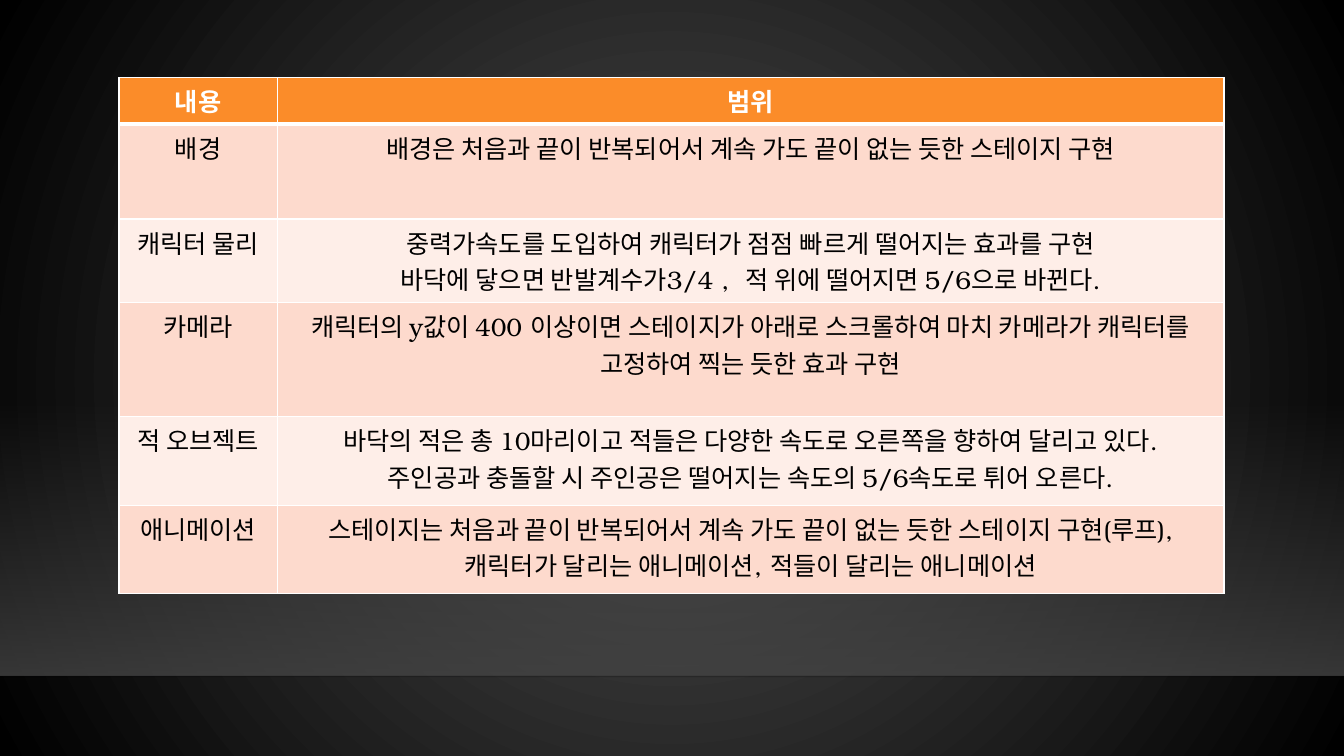
from lxml import etree
from pptx import Presentation
from pptx.dml.color import RGBColor
from pptx.enum.shapes import MSO_CONNECTOR, MSO_SHAPE
from pptx.enum.text import PP_ALIGN
from pptx.oxml import parse_xml
from pptx.oxml.ns import qn
from pptx.util import Inches, Pt

RECTANGLE = MSO_SHAPE.RECTANGLE
STRAIGHT = MSO_CONNECTOR.STRAIGHT
CENTER = PP_ALIGN.CENTER
DRAWING_NS = "http://schemas.openxmlformats.org/drawingml/2006/main"

COLORS = {
    "glow": "505050", "edge": "000000", "floor": "454545", "horizon": "000001",
    "header": "FB8C29", "band_dark": "FDDACD", "band_light": "FEEEE8",
    "border": "FFFFFF", "header_text": "FFFFFF", "body_text": "000000",
}
SLIDE_WIDTH, SLIDE_HEIGHT = 13.33, 7.5
FLOOR_TOP, FLOOR_HEIGHT, HORIZON = 3.96, 2.74, 6.71
COLUMN_WIDTHS = [1.57, 9.39]
ROW_HEIGHTS = [0.45, 0.94, 0.83, 1.13, 0.88, 0.88]
TEXT_FORMAT = {"name": "TeX Gyre Bonum", "size": Pt(18)}

# Each row: topic, then the paragraphs of its scope
ROWS = [
    ("내용", ["범위"]),
    ("배경", ["배경은 처음과 끝이 반복되어서 계속 가도 끝이 없는 듯한 스테이지 구현"]),
    ("캐릭터 물리", ["중력가속도를 도입하여 캐릭터가 점점 빠르게 떨어지는 효과를 구현",
                "바닥에 닿으면 반발계수가3/4 ,  적 위에 떨어지면 5/6으로 바뀐다."]),
    ("카메라", ["캐릭터의 y값이 400 이상이면 스테이지가 아래로 스크롤하여 "
             "마치 카메라가 캐릭터를 고정하여 찍는 듯한 효과 구현"]),
    ("적 오브젝트", ["바닥의 적은 총 10마리이고 적들은 다양한 속도로 오른쪽을 향하여 달리고 있다.",
                "주인공과 충돌할 시 주인공은 떨어지는 속도의 5/6속도로 튀어 오른다."]),
    ("애니메이션", ["스테이지는 처음과 끝이 반복되어서 계속 가도 끝이 없는 듯한 스테이지 구현(루프), "
               "캐릭터가 달리는 애니메이션, 적들이 달리는 애니메이션"]),
]


def color(name):
    return RGBColor.from_string(COLORS[name])


def set_alpha(color_element, percent):
    etree.SubElement(color_element, qn("a:alpha"), val=str(percent * 1000))


def set_gradient(fill, names):
    fill.gradient()
    for stop, name, position in zip(fill.gradient_stops, names, (0, 1)):
        stop.color.rgb = color(name)
        stop.position = position


def add_background(page):
    set_gradient(page.background.fill, ("glow", "edge"))
    gradient = page.element.find(".//" + qn("a:gradFill"))
    circle = parse_xml(
        f'<a:path xmlns:a="{DRAWING_NS}" path="circle">'
        '<a:fillToRect l="50000" t="50000" r="50000" b="50000"/></a:path>')
    gradient.replace(gradient.find(qn("a:lin")), circle)


def add_floor(page):
    floor = page.shapes.add_shape(RECTANGLE, 0, Inches(FLOOR_TOP),
                                  Inches(SLIDE_WIDTH), Inches(FLOOR_HEIGHT))
    floor.shadow.inherit = False
    floor.line.fill.background()
    set_gradient(floor.fill, ("floor", "floor"))
    floor.fill.gradient_angle = 270
    stops = floor.element.spPr.iter(qn("a:srgbClr"))
    for stop_color, percent in zip(stops, (0, 80)):
        set_alpha(stop_color, percent)


def add_horizon(page):
    line = page.shapes.add_connector(STRAIGHT, 0, Inches(HORIZON),
                                     Inches(SLIDE_WIDTH), Inches(HORIZON))
    line.line.color.rgb = color("horizon")
    line.line.width = Pt(1)
    properties = line.element.spPr
    set_alpha(properties.find(".//" + qn("a:srgbClr")), 20)
    etree.SubElement(properties, qn("a:effectLst"))


def set_borders(cell, widths):
    properties = cell._tc.get_or_add_tcPr()
    for index, (side, width) in enumerate(widths.items()):
        properties.insert(index, parse_xml(
            f'<a:ln{side} xmlns:a="{DRAWING_NS}" w="{Pt(width)}"><a:solidFill>'
            f'<a:srgbClr val="{COLORS["border"]}"/></a:solidFill></a:ln{side}>'))


def fill_cell(cell, paragraphs, row):
    is_header = row == 0
    band = "header" if is_header else ("band_light", "band_dark")[row % 2]
    cell.fill.solid()
    cell.fill.fore_color.rgb = color(band)
    set_borders(cell, {"L": 1, "R": 1, "T": 3 if row == 1 else 1,
                       "B": 3 if is_header else 1})
    frame = cell.text_frame
    frame.text = "\n".join(paragraphs)
    for para in frame.paragraphs:
        para.alignment = CENTER
        for span in para.runs:
            for key, value in {**TEXT_FORMAT, "bold": is_header}.items():
                setattr(span.font, key, value)
            span.font.color.rgb = color("header_text" if is_header else "body_text")


def add_scope_table(page):
    table = page.shapes.add_table(
        len(ROWS), len(COLUMN_WIDTHS), Inches(1.18), Inches(0.77),
        Inches(sum(COLUMN_WIDTHS)), Inches(sum(ROW_HEIGHTS))).table
    for column, width in zip(table.columns, COLUMN_WIDTHS):
        column.width = Inches(width)
    for row, (height, (topic, scope)) in enumerate(zip(ROW_HEIGHTS, ROWS)):
        table.rows[row].height = Inches(height)
        fill_cell(table.cell(row, 0), [topic], row)
        fill_cell(table.cell(row, 1), scope, row)


def main():
    deck = Presentation()
    deck.slide_width = Inches(SLIDE_WIDTH)
    deck.slide_height = Inches(SLIDE_HEIGHT)
    page = deck.slides.add_slide(deck.slide_layouts[6])
    # Dark stage behind the table
    add_background(page)
    add_floor(page)
    add_horizon(page)
    # Table of development scope
    add_scope_table(page)
    deck.save("out.pptx")


if __name__ == "__main__":
    main()
